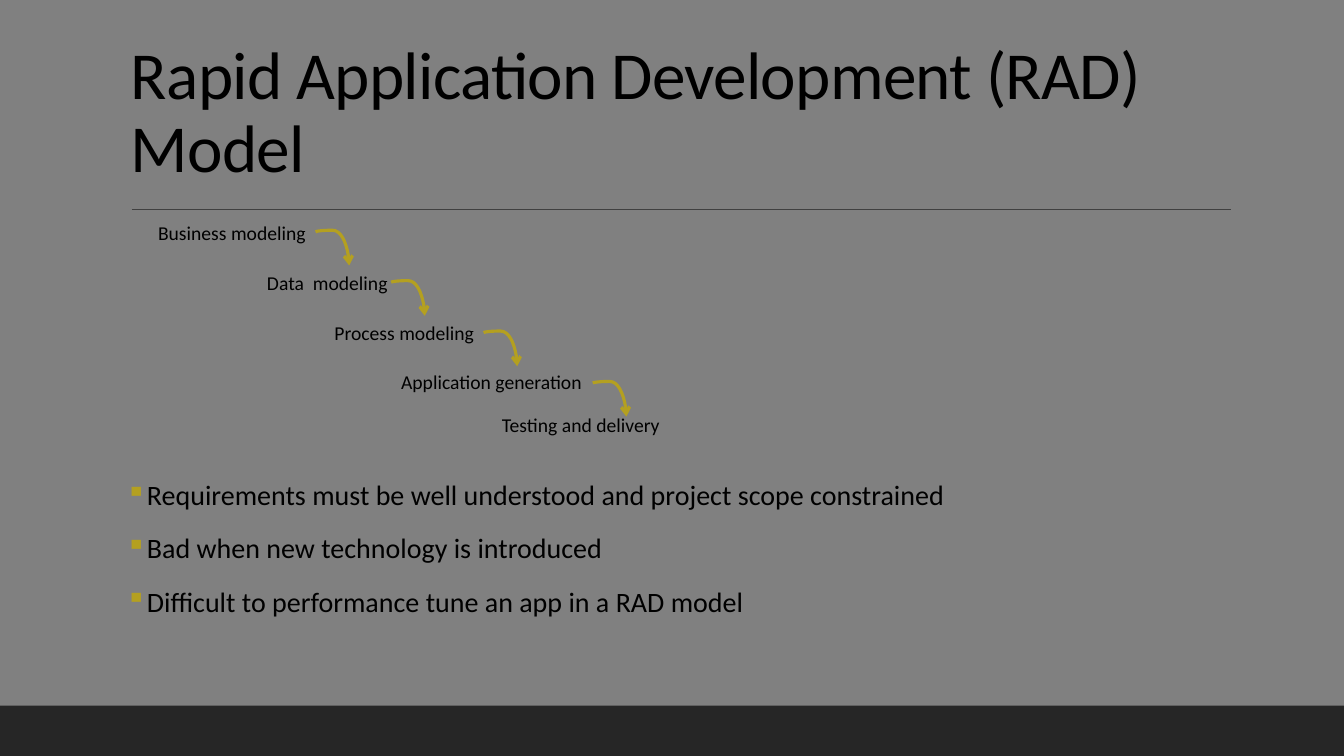
from lxml import etree
from pptx import Presentation
from pptx.dml.color import RGBColor
from pptx.enum.shapes import MSO_CONNECTOR, MSO_SHAPE
from pptx.enum.text import MSO_ANCHOR
from pptx.oxml.ns import qn
from pptx.util import Pt

STRAIGHT, CURVE = MSO_CONNECTOR.STRAIGHT, MSO_CONNECTOR.CURVE
RECTANGLE = MSO_SHAPE.RECTANGLE
BOTTOM = MSO_ANCHOR.BOTTOM

GREY = RGBColor(0x80, 0x80, 0x80)
CHARCOAL = RGBColor(0x26, 0x26, 0x26)
RULE_GREY = RGBColor(0x40, 0x40, 0x40)
BLACK = RGBColor(0x00, 0x00, 0x00)
GOLD = RGBColor(0xB4, 0xA0, 0x20)

FONT = "Calibri"
ARROW_SIZE = 24

# Label, left, top, width
PHASES = [
    ("Business modeling", 105.8, 154.1, 132),
    ("Data  modeling", 183.6, 190.1, 132),
    ("Process modeling", 231.8, 225.4, 192),
    ("Application generation", 279.4, 260.6, 192),
    ("Testing and delivery", 351.4, 291.6, 192),
]
ARROW_LEFTS = [225.4, 279.4, 345.4, 423.4]
ARROW_TOP, ARROW_STEP = 165.6, 36

DRAWBACKS = [
    "Requirements must be well understood and project scope constrained",
    "Bad when new technology is introduced",
    "Difficult to performance tune an app in a RAD model",
]


def add_text(left, top, width, height, lines, size):
    """Add a wrapping text box with one paragraph per line; return its frame."""
    tf = s.shapes.add_textbox(Pt(left), Pt(top), Pt(width), Pt(height)).text_frame
    tf.word_wrap = True
    tf.text = "\n".join(lines)
    for p in tf.paragraphs:
        p.font.name = FONT
        p.font.size = Pt(size)
        p.font.color.rgb = BLACK
    return tf


def add_line(kind, x1, y1, x2, y2, color, weight):
    sp = s.shapes.add_connector(kind, Pt(x1), Pt(y1), Pt(x2), Pt(y2))
    sp.line.color.rgb = color
    sp.line.width = Pt(weight)
    etree.SubElement(sp._element.spPr, qn("a:effectLst"))
    return sp


prs = Presentation()
prs.slide_width, prs.slide_height = Pt(960), Pt(540)
s = prs.slides.add_slide(prs.slide_layouts[6])
s.background.fill.solid()
s.background.fill.fore_color.rgb = GREY

# Footer band and rule under the title
band = s.shapes.add_shape(RECTANGLE, Pt(0), Pt(504), Pt(960), Pt(36))
band.shadow.inherit = False
band.fill.solid()
band.fill.fore_color.rgb = CHARCOAL
band.line.fill.background()
add_line(STRAIGHT, 94.3, 149.6, 879, 149.6, RULE_GREY, 1)

# Title
tf = add_text(86.4, 22.3, 792, 114.5, ["Rapid Application Development (RAD) Model"], 48)
tf.vertical_anchor = BOTTOM
p = tf.paragraphs[0]
p.line_spacing = 0.9
p.runs[0]._r.get_or_add_rPr().set("spc", "-50")

# Drawbacks
tf = add_text(90, 337.7, 648, 152, DRAWBACKS, 20)
tf.margin_left = tf.margin_right = 0
for i, p in enumerate(tf.paragraphs):
    pPr = p._p.get_or_add_pPr()
    pPr.set("marL", str(Pt(7.2)))
    pPr.set("indent", str(Pt(-7.2)))
    bullet_color = etree.Element(qn("a:buClr"))
    etree.SubElement(bullet_color, qn("a:srgbClr"), val=str(GOLD))
    pPr.insert(0, bullet_color)
    bullet = etree.Element(qn("a:buChar"), char="▪")
    bullet_color.addnext(bullet)
    p.space_before = Pt(12 if i else 0)
    p.space_after = Pt(2)

# Cascade of phases
for label, left, top, width in PHASES:
    add_text(left, top, width, 24.2, [label], 14)

for i, left in enumerate(ARROW_LEFTS):
    top = ARROW_TOP + i * ARROW_STEP
    # Drawn from right to left, then turned so that it runs right and down
    sp = add_line(CURVE, left + ARROW_SIZE, top, left, top + ARROW_SIZE, GOLD, 2.25)
    spPr = sp._element.spPr
    spPr.find(qn("a:xfrm")).set("rot", str(270 * 60000))
    guides = spPr.find(qn("a:prstGeom")).find(qn("a:avLst"))
    etree.SubElement(guides, qn("a:gd"), name="adj1", fmla="val -4900")
    etree.SubElement(spPr.find(qn("a:ln")), qn("a:tailEnd"), type="arrow")

prs.save("out.pptx")
